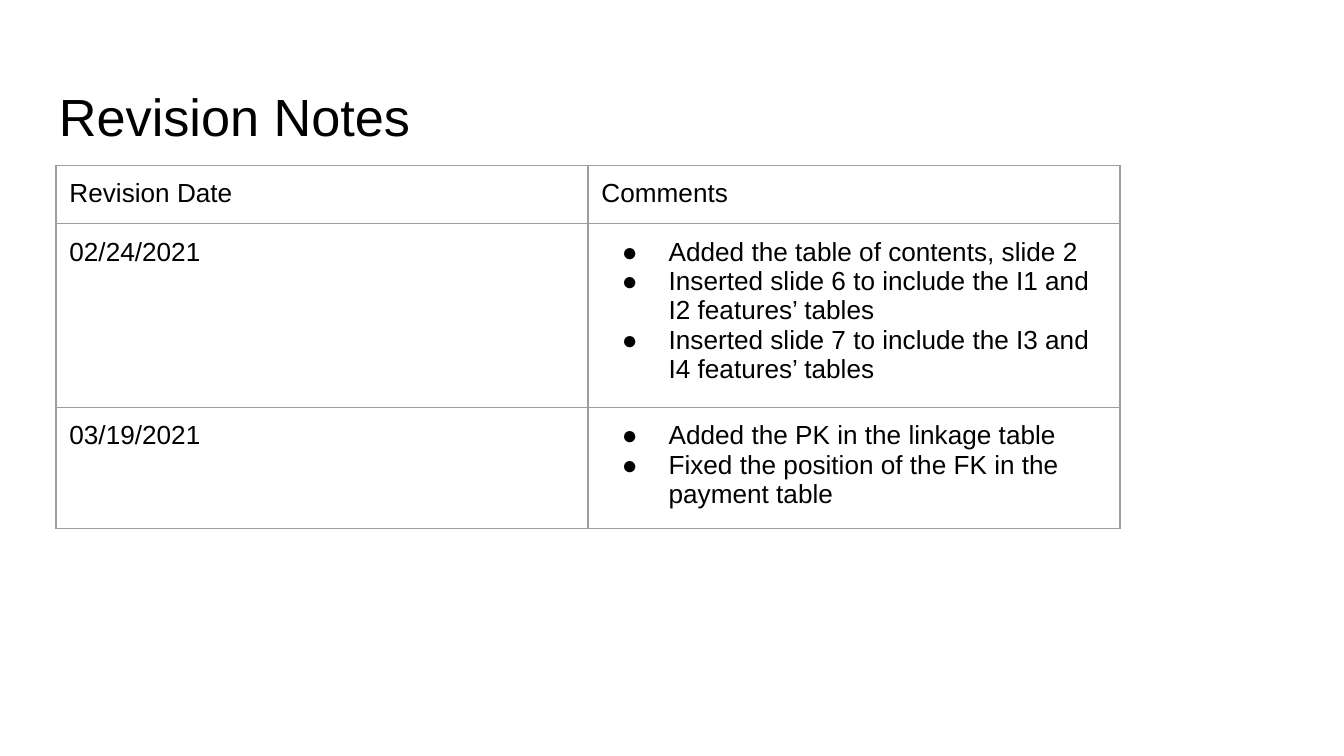
import pptx
import pptx.dml.color
import pptx.enum.text
import pptx.oxml.ns
import pptx.util
from lxml import etree

Pt = pptx.util.Pt

TITLE = "Revision Notes"
HEADER = ("Revision Date", "Comments")
REVISIONS = [
    ("02/24/2021", [
        "Added the table of contents, slide 2",
        "Inserted slide 6 to include the I1 and I2 features’ tables",
        "Inserted slide 7 to include the I3 and I4 features’ tables",
    ]),
    ("03/19/2021", [
        "Added the PK in the linkage table",
        "Fixed the position of the FK in the payment table",
    ]),
]

INK, RULE, PAPER = "000000", "9E9E9E", "FFFFFF"
COLUMN_WIDTH, ROW_HEIGHT = 285, 30.2
CELL_FORMAT = {
    "margin_left": Pt(7.2), "margin_right": Pt(7.2),
    "margin_top": Pt(7.2), "margin_bottom": Pt(7.2),
}
TITLE_FORMAT = {
    "margin_left": Pt(7.2), "margin_right": Pt(7.2),
    "margin_top": Pt(10), "margin_bottom": Pt(0), "word_wrap": True,
    "vertical_anchor": pptx.enum.text.MSO_ANCHOR.TOP,
}


def rgb(value):
    return pptx.dml.color.RGBColor.from_string(value)


def apply_format(target, values):
    for name, value in values.items():
        setattr(target, name, value)


def add_child(parent, tag, **attributes):
    child = etree.SubElement(parent, pptx.oxml.ns.qn(tag))
    for name, value in attributes.items():
        child.set(name, str(value))
    return child


def write(paragraph, text, size):
    run = paragraph.add_run()
    run.text = text
    apply_format(run.font, {"name": "Arial", "size": Pt(size)})
    run.font.color.rgb = rgb(INK)


def add_bullet(paragraph):
    properties = paragraph._p.get_or_add_pPr()
    properties.set("marL", str(Pt(36)))
    properties.set("indent", str(-Pt(25)))
    add_child(add_child(properties, "a:buClr"), "a:srgbClr", val=INK)
    add_child(properties, "a:buFont", typeface="Arial")
    add_child(properties, "a:buChar", char="●")


def add_borders(cell):
    properties = cell._tc.get_or_add_tcPr()
    for side in ("L", "R", "T", "B"):
        line = add_child(properties, f"a:ln{side}", w=Pt(0.75))
        add_child(add_child(line, "a:solidFill"), "a:srgbClr", val=RULE)


def fill_cell(cell, content):
    """Write a string as plain text, or a list as bullets."""
    apply_format(cell, CELL_FORMAT)
    add_borders(cell)
    cell.fill.background()
    bulleted = isinstance(content, list)
    frame = cell.text_frame
    for index, line in enumerate(content if bulleted else [content]):
        paragraph = frame.add_paragraph() if index else frame.paragraphs[0]
        if bulleted:
            add_bullet(paragraph)
        write(paragraph, line, 14)


def main():
    deck = pptx.Presentation()
    deck.slide_width, deck.slide_height = Pt(720), Pt(405)
    slide = deck.slides.add_slide(deck.slide_layouts[6])
    slide.background.fill.solid()
    slide.background.fill.fore_color.rgb = rgb(PAPER)

    title = slide.shapes.add_textbox(Pt(24.5), Pt(35.3), Pt(671), Pt(45.4))
    apply_format(title.text_frame, TITLE_FORMAT)
    write(title.text_frame.paragraphs[0], TITLE, 28)

    rows = [HEADER] + REVISIONS
    table = slide.shapes.add_table(
        len(rows), len(HEADER), Pt(30), Pt(88.7),
        Pt(COLUMN_WIDTH * len(HEADER)), Pt(ROW_HEIGHT * len(rows))).table
    apply_format(table, {"first_row": False, "horz_banding": False})
    for column in table.columns:
        column.width = Pt(COLUMN_WIDTH)
    for table_row, contents in zip(table.rows, rows):
        table_row.height = Pt(ROW_HEIGHT)
        for cell, content in zip(table_row.cells, contents):
            fill_cell(cell, content)

    deck.save("out.pptx")


if __name__ == "__main__":
    main()
